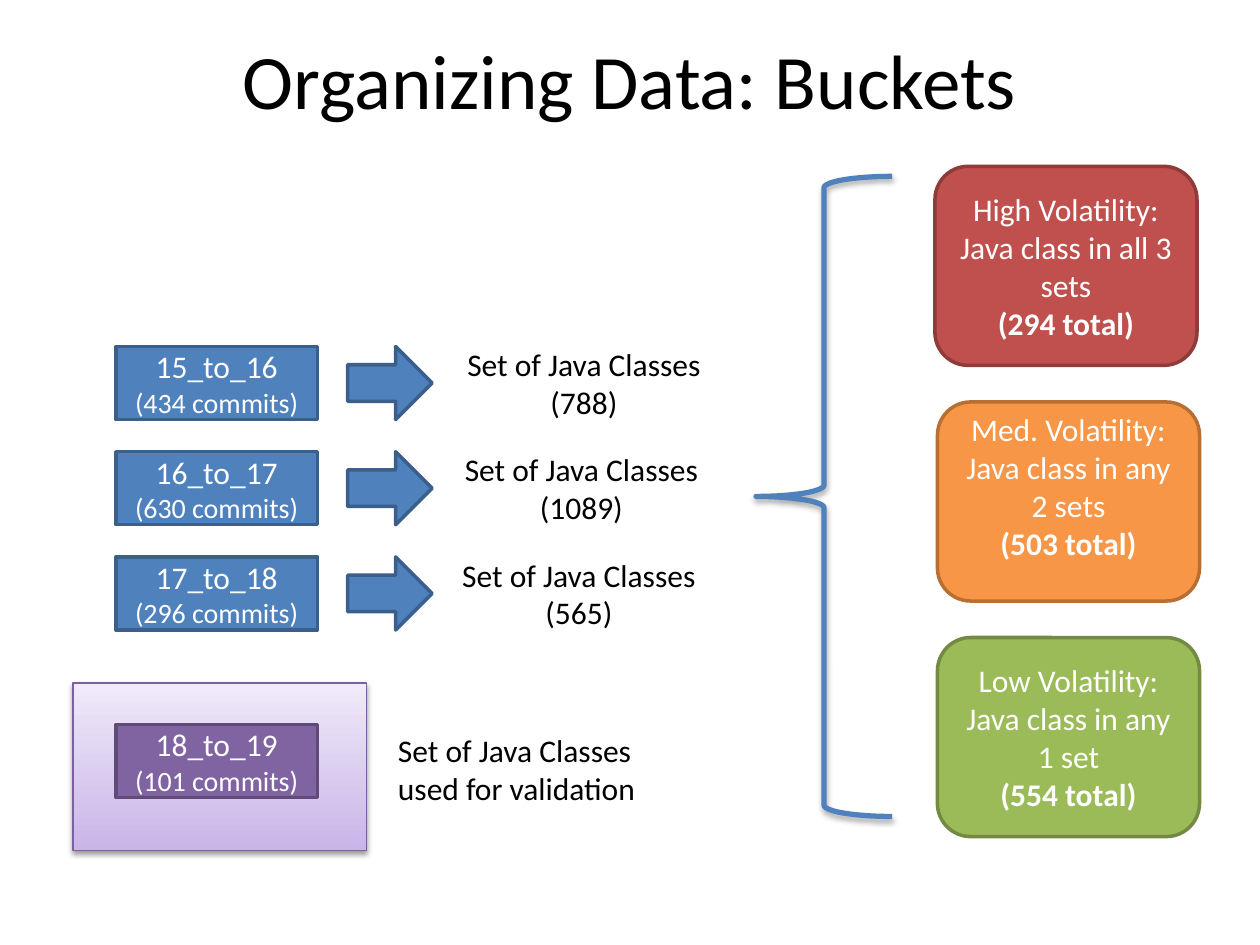
from lxml import etree
from pptx import Presentation
from pptx import util as u
from pptx.dml.color import RGBColor
from pptx.enum import shapes, text

BLACK = RGBColor(0, 0, 0)
WHITE = RGBColor(255, 255, 255)
BLUE, NAVY = RGBColor(0x4F, 0x81, 0xBD), RGBColor(0x3A, 0x5F, 0x8C)
PURPLE, PLUM = RGBColor(0x80, 0x64, 0xA2), RGBColor(0x5F, 0x4A, 0x78)
RED, WINE = RGBColor(0xC0, 0x50, 0x4D), RGBColor(0x8E, 0x3B, 0x39)
ORANGE, RUST = RGBColor(0xF7, 0x96, 0x46), RGBColor(0xB7, 0x6F, 0x34)
GREEN, MOSS = RGBColor(0x9B, 0xBB, 0x59), RGBColor(0x73, 0x8A, 0x42)
LILAC, MIST = RGBColor(0xC9, 0xB5, 0xE8), RGBColor(0xF0, 0xEA, 0xF9)
EDGE = RGBColor(0x7D, 0x60, 0xA0)
KIND = shapes.MSO_SHAPE
CENTER, LEFT = text.PP_ALIGN.CENTER, text.PP_ALIGN.LEFT
SHADE = ('<a:outerShdw xmlns:a="http://schemas.openxmlformats.org/drawingml/2006/main" '
         'blurRad="40000" dist="{}" dir="5400000" rotWithShape="0"><a:srgbClr val="000000">'
         '<a:alpha val="{}000"/></a:srgbClr></a:outerShdw>')


class Deck:
    """Style and current slide; lengths are inches on a 10 by 7.5 grid."""
    font = "Calibri"

    def __init__(self):
        self.prs = Presentation()
        self.prs.slide_width, self.prs.slide_height = u.Inches(10), u.Inches(7.5)
        self.slide = self.prs.slides.add_slide(self.prs.slide_layouts[6])

    def shape(self, kind, box, fill, line, width=2):
        item = self.slide.shapes.add_shape(kind, *map(u.Inches, box))
        item.shadow.inherit = False
        if fill is None:
            item.fill.background()
        else:
            item.fill.solid()
            item.fill.fore_color.rgb = fill
        item.line.color.rgb = line
        item.line.width = u.Pt(width)
        return item

    def shade(self, item, dist, alpha):
        effects = item.element.spPr.find("{*}effectLst")
        effects.append(etree.fromstring(SHADE.format(u.Pt(dist), alpha)))

    def letter(self, item, lines, color, align=CENTER):
        """Fill a shape with lines given as (words, size, bold)."""
        frame = item.text_frame
        frame.text = "\n".join(words for words, _, _ in lines)
        for para, (_, size, bold) in zip(frame.paragraphs, lines):
            para.alignment = align
            font = para.runs[0].font
            font.name, font.size, font.bold = self.font, u.Pt(size), bold
            font.color.rgb = color
        return frame

    def label(self, box, lines, size=18, align=CENTER, wrap=False):
        item = self.slide.shapes.add_textbox(*map(u.Inches, box))
        frame = self.letter(item, [(words, size, False) for words in lines], BLACK, align)
        frame.word_wrap = wrap
        return frame

    def card(self, kind, box, fill, line, lines):
        item = self.shape(kind, box, fill, line)
        frame = self.letter(item, lines, WHITE)
        frame.vertical_anchor = text.MSO_ANCHOR.MIDDLE
        return frame

    def release(self, top, name, count, fill=BLUE, line=NAVY):
        self.card(KIND.RECTANGLE, (0.92, top, 1.6, 0.58), fill, line,
                  [(name, 18, False), (f"({count} commits)", 16, False)])


deck = Deck()

# Title
title = deck.label((0.5, 0, 9, 1.25), ["Organizing Data: Buckets"], 44, wrap=True)
title.vertical_anchor = text.MSO_ANCHOR.MIDDLE

# Validation set
panel = deck.shape(KIND.RECTANGLE, (0.58, 5.42, 2.33, 1.33), LILAC, EDGE, 0.75)
panel.fill.gradient()
panel.fill.gradient_angle = 90
for stop, place, color in zip(panel.fill.gradient_stops, (0, 1), (LILAC, MIST)):
    stop.position, stop.color.rgb = place, color
deck.shade(panel, 1.6, 38)
deck.release(5.75, "18_to_19", 101, PURPLE, PLUM)
deck.label((3.06, 5.75, 2.11, 0.71),
           ["Set of Java Classes", "used for validation"], align=LEFT)

# Releases and their class sets
rows = [("15_to_16", 434, 788), ("16_to_17", 630, 1089), ("17_to_18", 296, 565)]
for i, (name, count, total) in enumerate(rows):
    top = 2.75 + i * 0.835
    deck.release(top, name, count)
    deck.shape(KIND.RIGHT_ARROW, (2.76, top, 0.67, 0.58), BLUE, NAVY)
    deck.label((3.6 - i * 0.02, top - 0.06, 2.07, 0.71),
               ["Set of Java Classes", f"({total})"])

# Brace
brace = deck.shape(KIND.LEFT_BRACE, (6, 1.4, 1.08, 5.08), None, BLUE, 3)
deck.shade(brace, 1.8, 35)

# Volatility buckets
buckets = [("High", "all 3 sets", 294, RED, WINE, 7.42),
           ("Med.", "any 2 sets", 503, ORANGE, RUST, 7.44),
           ("Low", "any 1 set", 554, GREEN, MOSS, 7.44)]
frames = [deck.card(KIND.ROUNDED_RECTANGLE, (left, 1.32 + i * 1.87, 2.08, 1.58), fill, line,
                    [(f"{level} Volatility:", 18, False),
                     (f"Java class in {scope}", 18, False),
                     (f"({total} total)", 18, True)])
          for i, (level, scope, total, fill, line, left) in enumerate(buckets)]
frames[1].margin_top, frames[1].margin_bottom = 0, u.Inches(0.25)

deck.prs.save("out.pptx")
